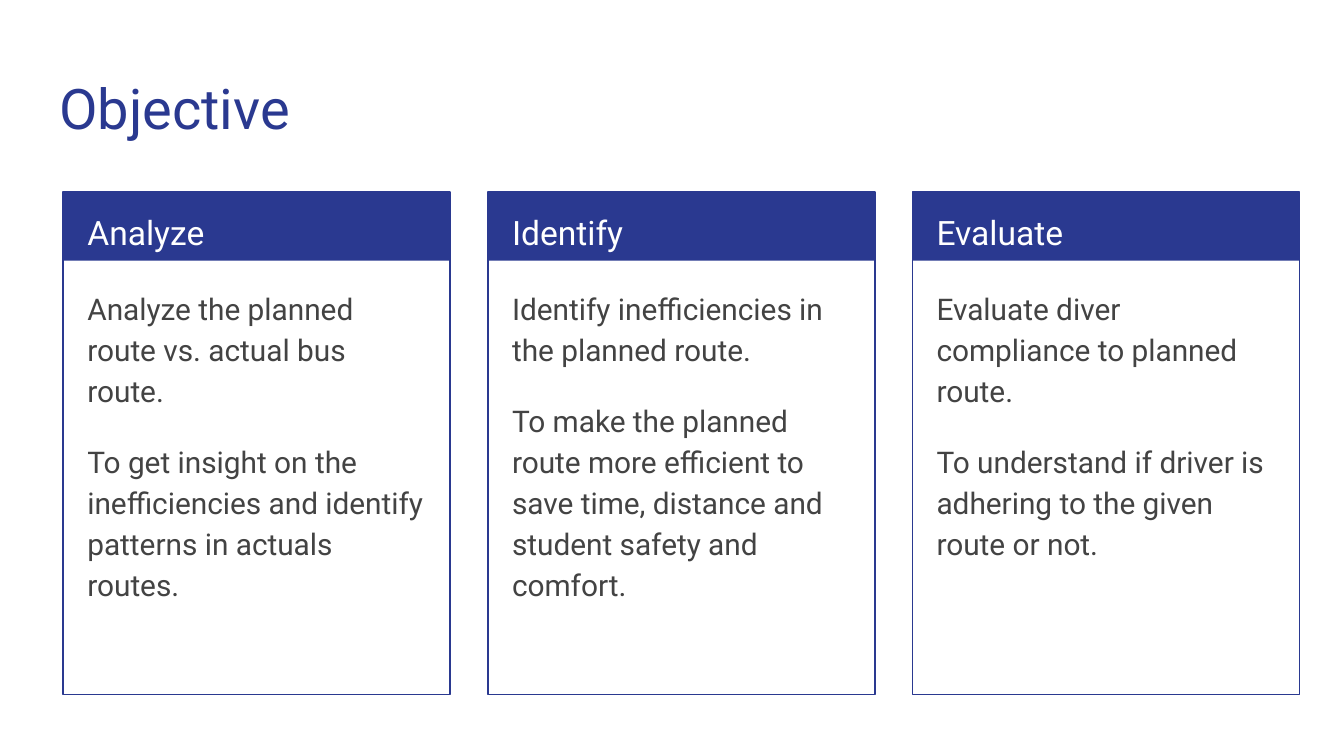
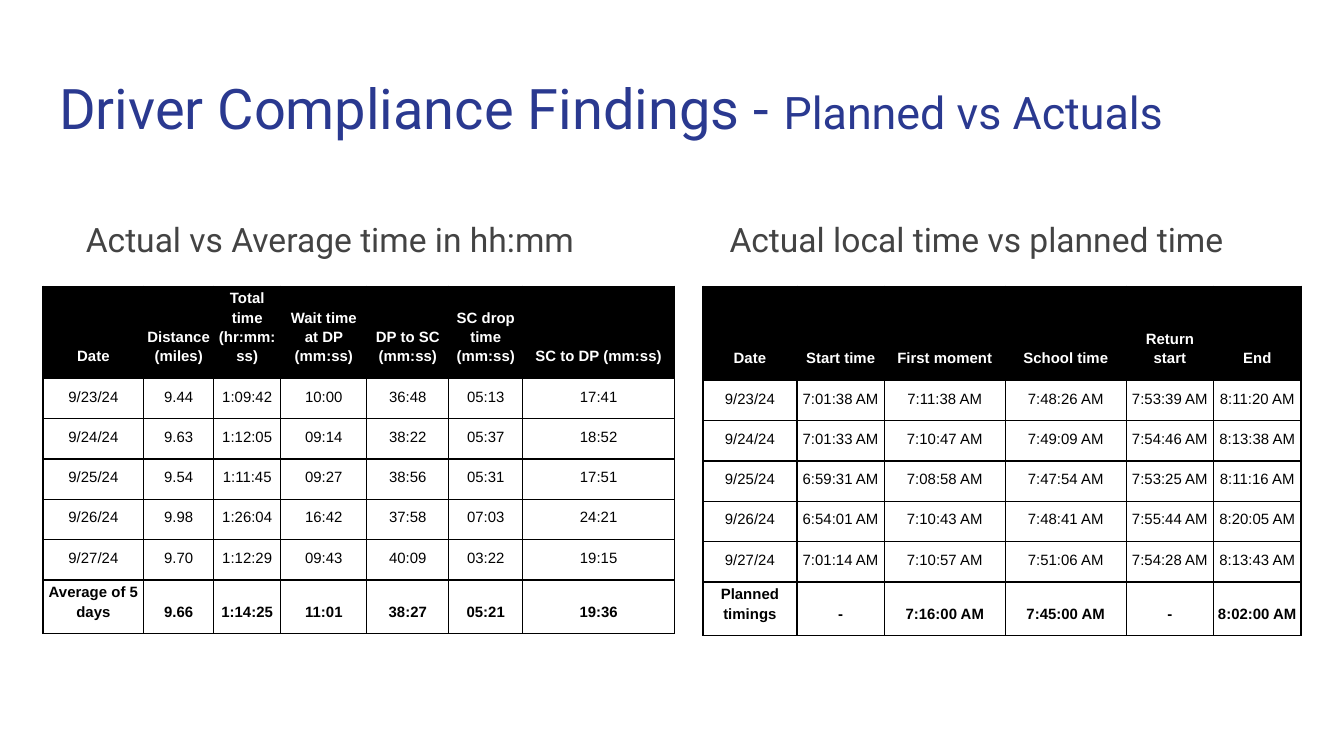
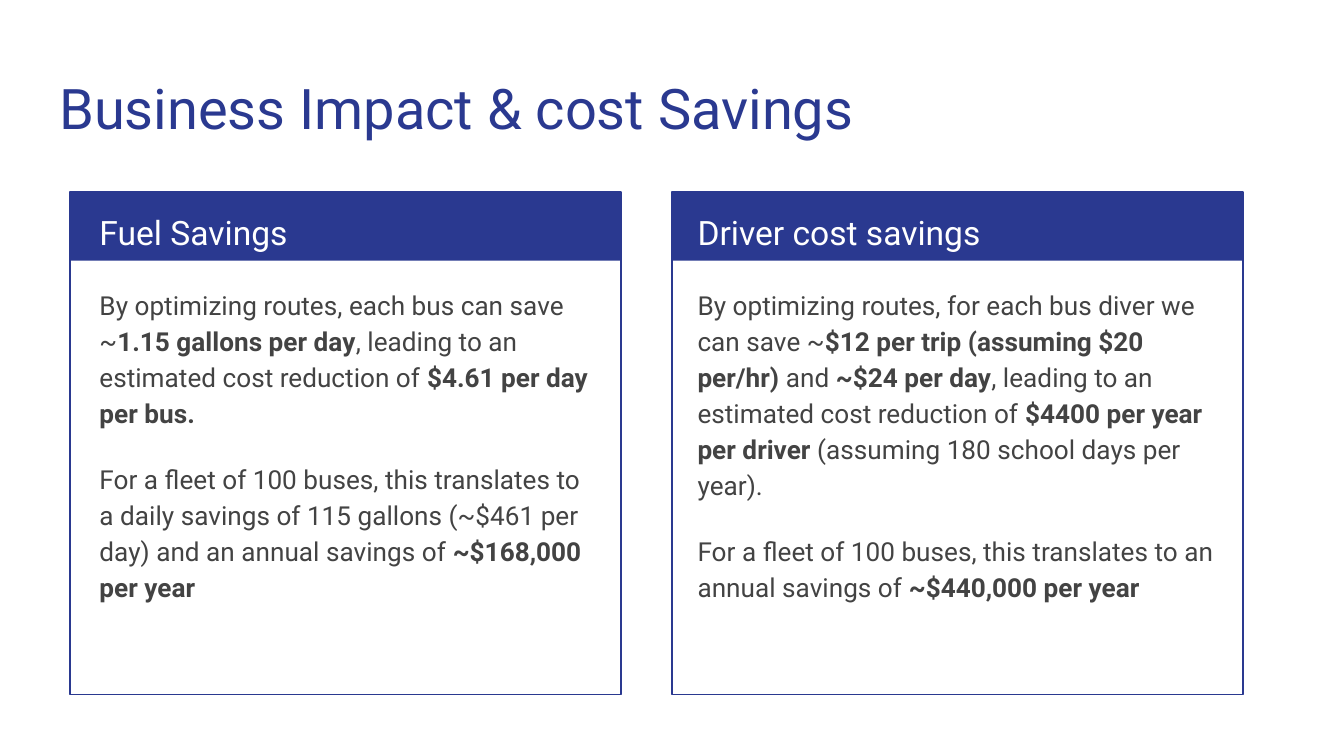
from dataclasses import dataclass

from lxml.etree import SubElement
from pptx import Presentation
from pptx.dml.color import RGBColor
from pptx.enum.shapes import MSO_SHAPE
from pptx.enum.text import MSO_ANCHOR as ANCHOR, MSO_AUTO_SIZE as AUTO, PP_ALIGN as ALIGN
from pptx.oxml.ns import qn
from pptx.util import Emu, Pt

# Shared style
EMU_PER_PX = 9144  # 100 px to the inch
BLUE, GREY, BLACK, WHITE = "2A3990", "434343", "000000", "FFFFFF"
ROBOTO, ARIAL = "Roboto", "Arial"
TITLE_ONLY, COMPARISON = 5, 4
CARD_TOP, CARD_H, BAND_H = 143, 374, 51
HEAD_H, BODY_TOP, BODY_H = 50, 202, 306
TABLE_TOP, ROW_H, LAST_ROW_H = 213, 30, 40
LINE_SPACING = 1.15


@dataclass
class Card:
    left: int
    width: int
    inset: int
    head_w: int
    body_w: int
    head: str
    body: list[str]  # bold parts stand between ** marks


@dataclass
class TimeTable:
    left: int
    caption_left: int
    caption: str
    header_h: int
    col_widths: list[int]
    rows: list[list[str]]


def px(n: int) -> Emu:
    return Emu(n * EMU_PER_PX)


def rgb(color: str) -> RGBColor:
    return RGBColor.from_string(color)


def style_run(r, size: int, color: str, font: str = ROBOTO, bold: bool = False) -> None:
    r.font.name, r.font.size, r.font.bold = font, Pt(size), bold
    r.font.color.rgb = rgb(color)


def place(sp, left: int, top: int, width: int, height: int) -> None:
    sp.left, sp.top, sp.width, sp.height = px(left), px(top), px(width), px(height)
    tf = sp.text_frame
    tf.word_wrap, tf.auto_size = True, AUTO.NONE
    tf.vertical_anchor = ANCHOR.TOP
    tf.margin_left = tf.margin_right = tf.margin_top = tf.margin_bottom = px(10)


def add_title(slide, text: str, detail: str = "") -> None:
    sp = slide.shapes.title
    place(sp, 34, 45, 932, 66)
    sp.text_frame.text = text
    p = sp.text_frame.paragraphs[0]
    p.alignment = ALIGN.LEFT
    style_run(p.runs[0], 30, BLUE)
    if detail:
        r = p.add_run()
        r.text = detail
        style_run(r, 24, BLUE)


def write_body(sp, paragraphs: list[str], size: int, color: str) -> None:
    tf = sp.text_frame
    for i, text in enumerate(paragraphs):
        p = tf.paragraphs[0] if i == 0 else tf.add_paragraph()
        p.line_spacing = LINE_SPACING
        p.space_before, p.space_after = Pt(16 if i else 0), Pt(0)
        pPr = p._p.get_or_add_pPr()
        pPr.set("marL", "0")
        pPr.set("indent", "0")
        SubElement(pPr, qn("a:buNone"))
        for n, part in enumerate(text.split("**")):
            if part:
                r = p.add_run()
                r.text = part
                style_run(r, size, color, bold=n % 2 == 1)


def add_rect(shapes, left: int, width: int, height: int):
    sp = shapes.add_shape(MSO_SHAPE.RECTANGLE, px(left), px(CARD_TOP), px(width), px(height))
    sp.shadow.inherit = False
    return sp


def add_card(slide, card: Card, free: list, body_size: int) -> None:
    # Blue band and outline
    group = slide.shapes.add_group_shape()
    band = add_rect(group.shapes, card.left, card.width, BAND_H)
    band.fill.solid()
    band.fill.fore_color.rgb = rgb(BLUE)
    band.line.fill.background()
    frame = add_rect(group.shapes, card.left, card.width, CARD_H)
    frame.fill.background()
    frame.line.color.rgb = rgb(BLUE)
    frame.line.width = Pt(0.75)

    # Heading and text, in layout placeholders while any are free
    x = card.left + card.inset
    for top, width, height, texts, size, color in (
        (CARD_TOP, card.head_w, HEAD_H, [card.head], 18, WHITE),
        (BODY_TOP, card.body_w, BODY_H, card.body, body_size, GREY),
    ):
        sp = free.pop(0) if free else slide.shapes.add_textbox(0, 0, 0, 0)
        slide.shapes.element.append(sp.element)  # in front of the band
        place(sp, x, top, width, height)
        write_body(sp, texts, size, color)


def add_card_slide(prs, title: str, cards: list[Card], body_size: int) -> None:
    slide = prs.slides.add_slide(prs.slide_layouts[COMPARISON])
    add_title(slide, title)
    free = [sp for sp in slide.placeholders if sp.placeholder_format.idx > 0]
    for card in cards:
        add_card(slide, card, free, body_size)


def add_borders(cell) -> None:
    tcPr = cell._tc.get_or_add_tcPr()
    for side in ("lnL", "lnR", "lnT", "lnB"):
        ln = SubElement(tcPr, qn(f"a:{side}"), w=str(Pt(0.75)))
        SubElement(SubElement(ln, qn("a:solidFill")), qn("a:srgbClr"), val=BLACK)


def write_cell(cell, text: str, header: bool, bold: bool) -> None:
    add_borders(cell)
    if header:
        cell.fill.solid()
        cell.fill.fore_color.rgb = rgb(BLACK)
    else:
        cell.fill.background()
    cell.vertical_anchor = ANCHOR.BOTTOM
    cell.margin_left = cell.margin_right = cell.margin_top = px(1)
    cell.margin_bottom = px(10)
    cell.text_frame.text = text
    p = cell.text_frame.paragraphs[0]
    p.alignment, p.line_spacing = ALIGN.CENTER, LINE_SPACING
    style_run(p.runs[0], 8, WHITE if header else BLACK, ARIAL, bold)


def add_time_table(slide, t: TimeTable) -> None:
    last = len(t.rows) - 1
    heights = [t.header_h] + [ROW_H] * (last - 1) + [LAST_ROW_H]
    table = slide.shapes.add_table(
        len(t.rows), len(t.col_widths), px(t.left), px(TABLE_TOP),
        px(sum(t.col_widths)), px(sum(heights))).table
    table.first_row = table.horz_banding = False
    for col, width in zip(table.columns, t.col_widths):
        col.width = px(width)
    for i, (row, height, texts) in enumerate(zip(table.rows, heights, t.rows)):
        row.height = px(height)
        for cell, text in zip(row.cells, texts):
            write_cell(cell, text, i == 0, i in (0, last))

    # Caption above the table
    sp = slide.shapes.add_textbox(0, 0, 0, 0)
    place(sp, t.caption_left, 153, 426, 50)
    sp.text_frame.text = t.caption
    style_run(sp.text_frame.paragraphs[0].runs[0], 18, GREY)


# Content
OBJECTIVES = [
    ("Analyze", [
        "Analyze the planned route vs. actual bus route.",
        "To get insight on the inefficiencies and identify patterns in actuals routes."]),
    ("Identify", [
        "Identify inefficiencies in the planned route.",
        "To make the planned route more efficient to save time, distance and student "
        "safety and comfort."]),
    ("Evaluate", [
        "Evaluate diver compliance to planned route.",
        "To understand if driver is adhering to the given route or not."]),
]
OBJECTIVE_CARDS = [Card(47 + 316 * i, 288, 8, 273, 272, head, body)
                   for i, (head, body) in enumerate(OBJECTIVES)]

SAVINGS_CARDS = [
    Card(52, 410, 12, 348, 390, "Fuel Savings", [
        "By optimizing routes, each bus can save ~**1.15 gallons per day**, leading to an "
        "estimated cost reduction of **$4.61 per day per bus.**",
        "For a fleet of 100 buses, this translates to a daily savings of 115 gallons "
        "(~$461 per day) and an annual savings of **~$168,000 per year**"]),
    Card(500, 425, 9, 372, 405, "Driver cost savings", [
        "By optimizing routes, for each bus diver we can save ~**$12 per trip (assuming $20 "
        "per/hr) **and** ~$24 per day**, leading to an estimated cost reduction of "
        "**$4400 per year per driver **(assuming 180 school days per year).",
        "For a fleet of 100 buses, this translates to an annual savings of "
        "**~$440,000 per year**"]),
]

TIME_TABLES = [
    TimeTable(32, 54, "Actual vs Average time in hh:mm", 67, [75, 52, 50, 64, 61, 55, 113], [
        ["Date", "Distance (miles)", "Total time (hr:mm:ss)", "Wait time at DP (mm:ss)",
         "DP to SC (mm:ss)", "SC drop time (mm:ss)", "SC to DP (mm:ss)"],
        ["9/23/24", "9.44", "1:09:42", "10:00", "36:48", "05:13", "17:41"],
        ["9/24/24", "9.63", "1:12:05", "09:14", "38:22", "05:37", "18:52"],
        ["9/25/24", "9.54", "1:11:45", "09:27", "38:56", "05:31", "17:51"],
        ["9/26/24", "9.98", "1:26:04", "16:42", "37:58", "07:03", "24:21"],
        ["9/27/24", "9.70", "1:12:29", "09:43", "40:09", "03:22", "19:15"],
        ["Average of 5 days", "9.66", "1:14:25", "11:01", "38:27", "05:21", "19:36"],
    ]),
    TimeTable(523, 533, "Actual local time vs planned time", 70, [70, 65, 90, 90, 65, 65], [
        ["Date", "Start time", "First moment", "School time", "Return start", "End"],
        ["9/23/24", "7:01:38 AM", "7:11:38 AM", "7:48:26 AM", "7:53:39 AM", "8:11:20 AM"],
        ["9/24/24", "7:01:33 AM", "7:10:47 AM", "7:49:09 AM", "7:54:46 AM", "8:13:38 AM"],
        ["9/25/24", "6:59:31 AM", "7:08:58 AM", "7:47:54 AM", "7:53:25 AM", "8:11:16 AM"],
        ["9/26/24", "6:54:01 AM", "7:10:43 AM", "7:48:41 AM", "7:55:44 AM", "8:20:05 AM"],
        ["9/27/24", "7:01:14 AM", "7:10:57 AM", "7:51:06 AM", "7:54:28 AM", "8:13:43 AM"],
        ["Planned timings", "-", "7:16:00 AM", "7:45:00 AM", "-", "8:02:00 AM"],
    ]),
]


def main() -> None:
    prs = Presentation()
    prs.slide_width = px(1000)
    prs.slide_height = prs.slide_width * 9 // 16

    add_card_slide(prs, "Objective", OBJECTIVE_CARDS, 16)

    slide = prs.slides.add_slide(prs.slide_layouts[TITLE_ONLY])
    add_title(slide, "Driver Compliance Findings - ", "Planned vs Actuals")
    for t in TIME_TABLES:
        add_time_table(slide, t)

    add_card_slide(prs, "Business Impact & cost Savings", SAVINGS_CARDS, 14)

    prs.save("out.pptx")


if __name__ == "__main__":
    main()
